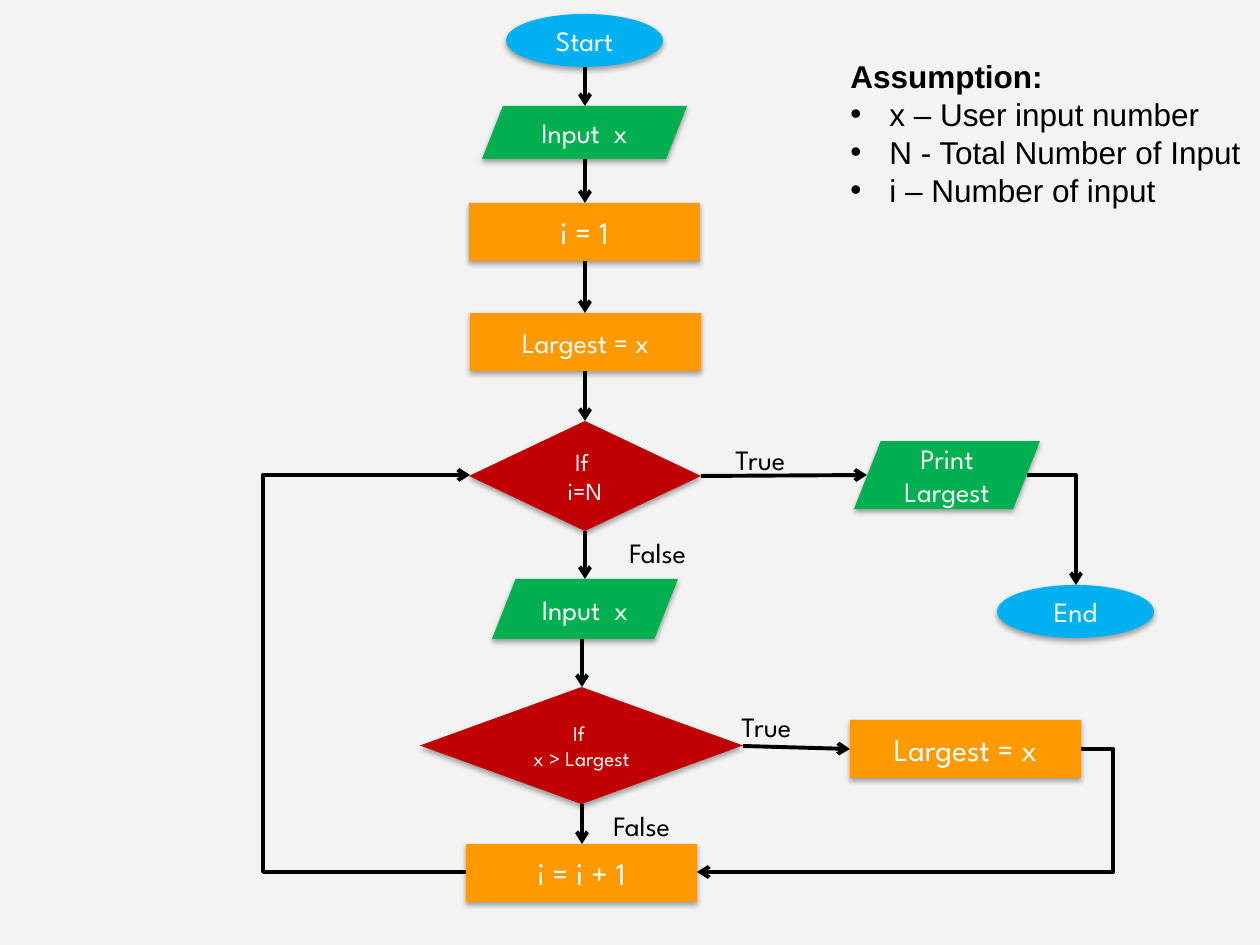
from lxml import etree
from pptx import Presentation
from pptx.dml.color import RGBColor
from pptx.enum.shapes import MSO_CONNECTOR as Link, MSO_SHAPE as Shape
from pptx.enum.text import MSO_ANCHOR as Anchor, PP_ALIGN as Align
from pptx.oxml.ns import qn
from pptx.util import Emu, Pt

PX = 914400 / 126
COLORS = {
    "background": "F3F3F3",
    "terminal": "00B0F0",
    "data": "00B050",
    "process": "FF9900",
    "decision": "C00000",
    "ink": "000000",
    "on_fill": "FFFFFF",
}
OUTLINES = {
    "terminal": Shape.OVAL,
    "data": Shape.PARALLELOGRAM,
    "process": Shape.RECTANGLE,
    "decision": Shape.DIAMOND,
}


def px(*lengths):
    return [Emu(round(length * PX)) for length in lengths]


def rgb(name):
    return RGBColor.from_string(COLORS[name])


def add_xml(parent, tag, **attributes):
    return etree.SubElement(parent, qn(tag), attributes)


class Flowchart:
    font = "League Spartan"

    def __init__(self, slide):
        self.slide = slide
        slide.background.fill.solid()
        slide.background.fill.fore_color.rgb = rgb("background")

    def style(self, paragraph, size, color, font=None, bold=False):
        paragraph.font.name = font or self.font
        paragraph.font.size = Pt(size)
        paragraph.font.bold = bold
        paragraph.font.color.rgb = rgb(color)

    def step(self, kind, text, box, size=16):
        shape = self.slide.shapes.add_shape(OUTLINES[kind], *px(*box))
        shape.fill.solid()
        shape.fill.fore_color.rgb = rgb(kind)
        shape.line.fill.background()
        if kind == "data":
            shape.adjustments[0] = 0.395
        self.drop_shadow(shape)
        frame = shape.text_frame
        frame.word_wrap = True
        frame.vertical_anchor = Anchor.MIDDLE
        frame.text = text
        for paragraph in frame.paragraphs:
            paragraph.alignment = Align.CENTER
            self.style(paragraph, size, "on_fill")
        return shape

    def drop_shadow(self, shape):
        shape.shadow.inherit = False
        effects = shape._element.spPr.find(qn("a:effectLst"))
        shadow = add_xml(effects, "a:outerShdw", blurRad=str(Pt(3.1)), dist=str(Pt(1.8)),
                         dir="5400000", rotWithShape="0")
        color = add_xml(shadow, "a:srgbClr", val=COLORS["ink"])
        add_xml(color, "a:alpha", val="35000")

    def arrow(self, start, end, kind=Link.STRAIGHT):
        link = self.slide.shapes.add_connector(kind, *px(*start, *end))
        link.line.color.rgb = rgb("ink")
        link.line.width = Pt(2.25)
        add_xml(link.line._get_or_add_ln(), "a:tailEnd", type="arrow")
        add_xml(link._element.spPr, "a:effectLst")
        return link

    def detour(self, start, end, turn_x):
        """Elbow arrow whose vertical part runs at turn_x."""
        link = self.arrow(start, end, Link.ELBOW)
        ratio = (turn_x - start[0]) / (end[0] - start[0])
        guides = link._element.spPr.find(qn("a:prstGeom")).get_or_add_avLst()
        add_xml(guides, "a:gd", name="adj1", fmla=f"val {round(ratio * 100000)}")
        return link

    def corner(self, start, end):
        """Elbow arrow with a single turn."""
        link = self.arrow(start, end, Link.ELBOW)
        link._element.spPr.find(qn("a:prstGeom")).set("prst", "bentConnector2")

    def label(self, text, box):
        frame = self.slide.shapes.add_textbox(*px(*box)).text_frame
        frame.word_wrap = True
        paragraph = frame.paragraphs[0]
        paragraph.text = text
        paragraph.line_spacing = 1.5
        paragraph._p.get_or_add_pPr().set("marL", str(px(19)[0]))
        self.style(paragraph, 16, "ink")

    def legend(self, heading, items, box):
        frame = self.slide.shapes.add_textbox(*px(*box)).text_frame
        frame.word_wrap = True
        frame.text = "\n".join([heading, *items])
        title, *entries = frame.paragraphs
        self.style(title, 18, "ink", "Arial", bold=True)
        indent = px(39)[0]
        for entry in entries:
            properties = entry._p.get_or_add_pPr()
            properties.set("marL", str(indent))
            properties.set("indent", str(-indent))
            add_xml(properties, "a:buFont", typeface="Arial")
            add_xml(properties, "a:buChar", char="•")
            self.style(entry, 18, "ink", "Arial")


def main():
    deck = Presentation()
    deck.slide_width, deck.slide_height = px(1260, 945)
    chart = Flowchart(deck.slides.add_slide(deck.slide_layouts[6]))

    # Steps
    for step in [
        ("terminal", "Start", (506, 14, 157, 53)),
        ("data", "Input  x", (482, 106, 205, 53)),
        ("process", "i = 1", (469, 203, 231, 58), 18),
        ("process", "Largest = x", (470, 313, 231, 58)),
        ("decision", "If \ni=N", (469, 421, 232, 110), 14),
        ("data", "Print Largest", (854, 441, 186, 68)),
        ("terminal", "End", (997, 585, 157, 53)),
        ("data", "Input  x", (492, 579, 186, 60)),
        ("decision", "If \nx > Largest", (420, 687, 323, 117), 12),
        ("process", "Largest = x", (850, 720, 231, 58), 18),
        ("process", "i = i + 1", (466, 844, 231, 58), 18),
    ]:
        chart.step(*step)

    # Downward flow
    for x, top, bottom in [
        (585, 67, 106), (585, 159, 203), (585, 261, 313), (585, 371, 421),
        (585, 531, 579), (582, 639, 687), (582, 804, 844),
    ]:
        chart.arrow((x, top), (x, bottom))

    # Branches and loop back
    chart.arrow((701, 476), (867, 475))
    chart.arrow((743, 746), (850, 749))
    chart.corner((1027, 475), (1076, 585))
    chart.detour((1081, 749), (697, 872), turn_x=1113)
    chart.detour((466, 872), (470, 475), turn_x=264)

    # Branch labels
    chart.label("True", (704, 420, 140, 67))
    chart.label("False", (598, 513, 127, 67))
    chart.label("True", (710, 687, 140, 57))
    chart.label("False", (582, 786, 121, 67))

    # Variable meanings
    chart.legend(
        "Assumption:",
        ["x – User input number", "N - Total Number of Input", "i – Number of input"],
        (838, 51, 451, 165),
    )
    deck.save("out.pptx")


if __name__ == "__main__":
    main()
